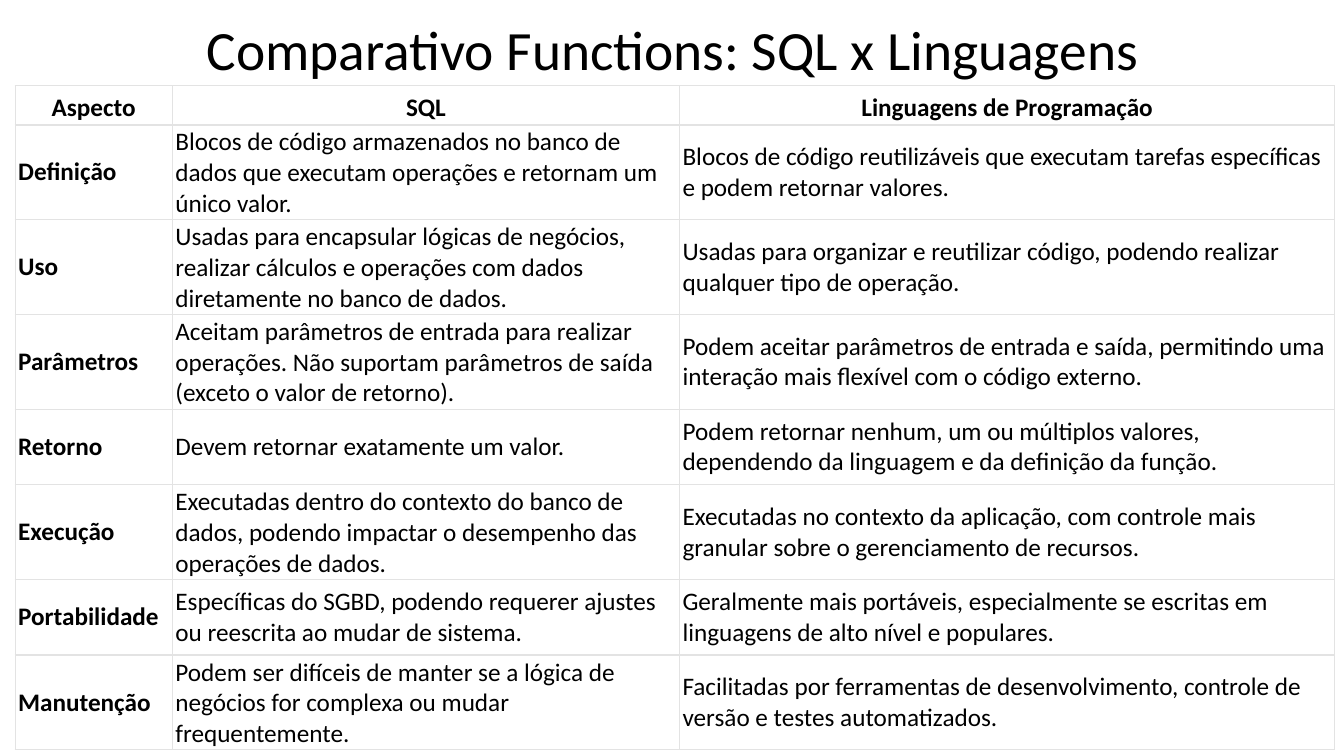
"""Build a slide comparing functions in SQL and in programming languages."""
from lxml.etree import SubElement
from pptx import Presentation
from pptx.dml.color import RGBColor
from pptx.enum.text import MSO_ANCHOR, PP_ALIGN
from pptx.oxml.ns import qn
from pptx.util import Pt

PX = 9144
BLACK = RGBColor(0x00, 0x00, 0x00)
WHITE = RGBColor(0xFF, 0xFF, 0xFF)
GRID = RGBColor(0xE3, 0xE3, 0xE3)
FONT = "Calibri"

COLUMN_WIDTHS = [156, 503, 650]
ROW_HEIGHTS = [39, 92, 92, 92, 75, 92, 75, 92]
ROWS = [
    ("Aspecto", "SQL", "Linguagens de Programação"),
    ("Definição",
     "Blocos de código armazenados no banco de dados que executam operações e retornam um único valor.",
     "Blocos de código reutilizáveis que executam tarefas específicas e podem retornar valores."),
    ("Uso",
     "Usadas para encapsular lógicas de negócios, realizar cálculos e operações com dados "
     "diretamente no banco de dados.",
     "Usadas para organizar e reutilizar código, podendo realizar qualquer tipo de operação."),
    ("Parâmetros",
     "Aceitam parâmetros de entrada para realizar operações. Não suportam parâmetros de saída "
     "(exceto o valor de retorno).",
     "Podem aceitar parâmetros de entrada e saída, permitindo uma interação mais flexível "
     "com o código externo."),
    ("Retorno",
     "Devem retornar exatamente um valor.",
     "Podem retornar nenhum, um ou múltiplos valores, dependendo da linguagem e da definição da função."),
    ("Execução",
     "Executadas dentro do contexto do banco de dados, podendo impactar o desempenho das operações de dados.",
     "Executadas no contexto da aplicação, com controle mais granular sobre o gerenciamento de recursos."),
    ("Portabilidade",
     "Específicas do SGBD, podendo requerer ajustes ou reescrita ao mudar de sistema.",
     "Geralmente mais portáveis, especialmente se escritas em linguagens de alto nível e populares."),
    ("Manutenção",
     "Podem ser difíceis de manter se a lógica de negócios for complexa ou mudar frequentemente.",
     "Facilitadas por ferramentas de desenvolvimento, controle de versão e testes automatizados."),
]


def write_text(text_frame, text, size, bold=False, alignment=PP_ALIGN.LEFT):
    paragraph = text_frame.paragraphs[0]
    paragraph.alignment = alignment
    run = paragraph.add_run()
    run.text = text
    run.font.name = FONT
    run.font.size = Pt(size)
    run.font.bold = bold
    run.font.color.rgb = BLACK


def add_borders(cell, widths):
    properties = cell._tc.get_or_add_tcPr()
    for side, width in widths.items():
        line = SubElement(properties, qn(f"a:ln{side}"), w=str(Pt(width)))
        fill = SubElement(line, qn("a:solidFill"))
        SubElement(fill, qn("a:srgbClr"), val=str(GRID))


presentation = Presentation()
presentation.slide_width = 1333 * PX
presentation.slide_height = 750 * PX
slide = presentation.slides.add_slide(presentation.slide_layouts[6])
slide.background.fill.solid()
slide.background.fill.fore_color.rgb = WHITE

title = slide.shapes.add_textbox(67 * PX, 7 * PX, 1200 * PX, 81 * PX)
title.text_frame.word_wrap = True
title.text_frame.vertical_anchor = MSO_ANCHOR.MIDDLE
write_text(title.text_frame, "Comparativo Functions: SQL x Linguagens", 39.6, alignment=PP_ALIGN.CENTER)

table = slide.shapes.add_table(
    len(ROWS), len(COLUMN_WIDTHS), 15 * PX, 85 * PX,
    sum(COLUMN_WIDTHS) * PX, sum(ROW_HEIGHTS) * PX,
).table
table.horz_banding = False
for column, width in zip(table.columns, COLUMN_WIDTHS):
    column.width = width * PX
for row, height in zip(table.rows, ROW_HEIGHTS):
    row.height = height * PX

for row_index, texts in enumerate(ROWS):
    is_header = row_index == 0
    is_last = row_index == len(ROWS) - 1
    for column_index, text in enumerate(texts):
        cell = table.cell(row_index, column_index)
        cell.margin_left = cell.margin_right = 3 * PX
        cell.margin_top = cell.margin_bottom = 2 * PX
        cell.vertical_anchor = MSO_ANCHOR.BOTTOM if is_header else MSO_ANCHOR.MIDDLE
        add_borders(cell, {"L": 0.75, "R": 0.75, "T": 0.75 if is_header else 1, "B": 0.75 if is_last else 1})
        cell.fill.solid()
        cell.fill.fore_color.rgb = WHITE
        write_text(
            cell.text_frame, text, 18,
            bold=is_header or column_index == 0,
            alignment=PP_ALIGN.CENTER if is_header else PP_ALIGN.LEFT,
        )

presentation.save("out.pptx")
